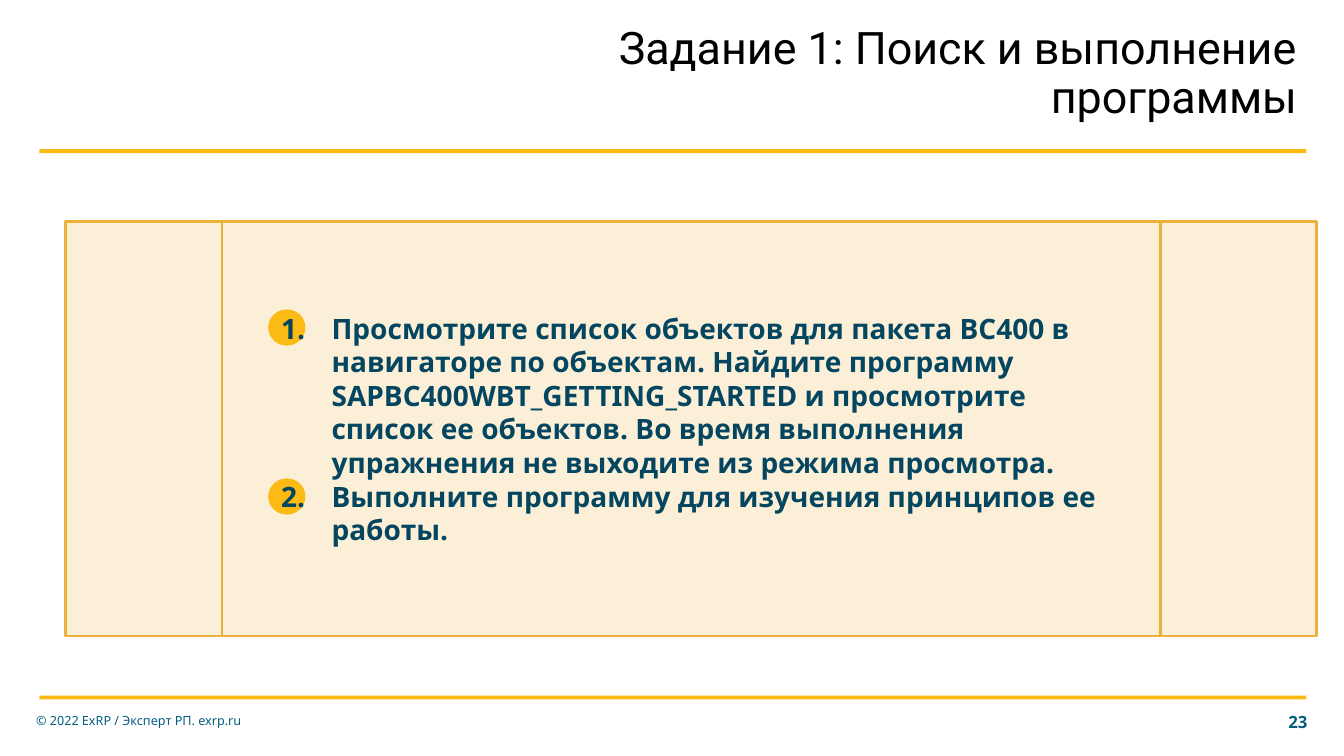
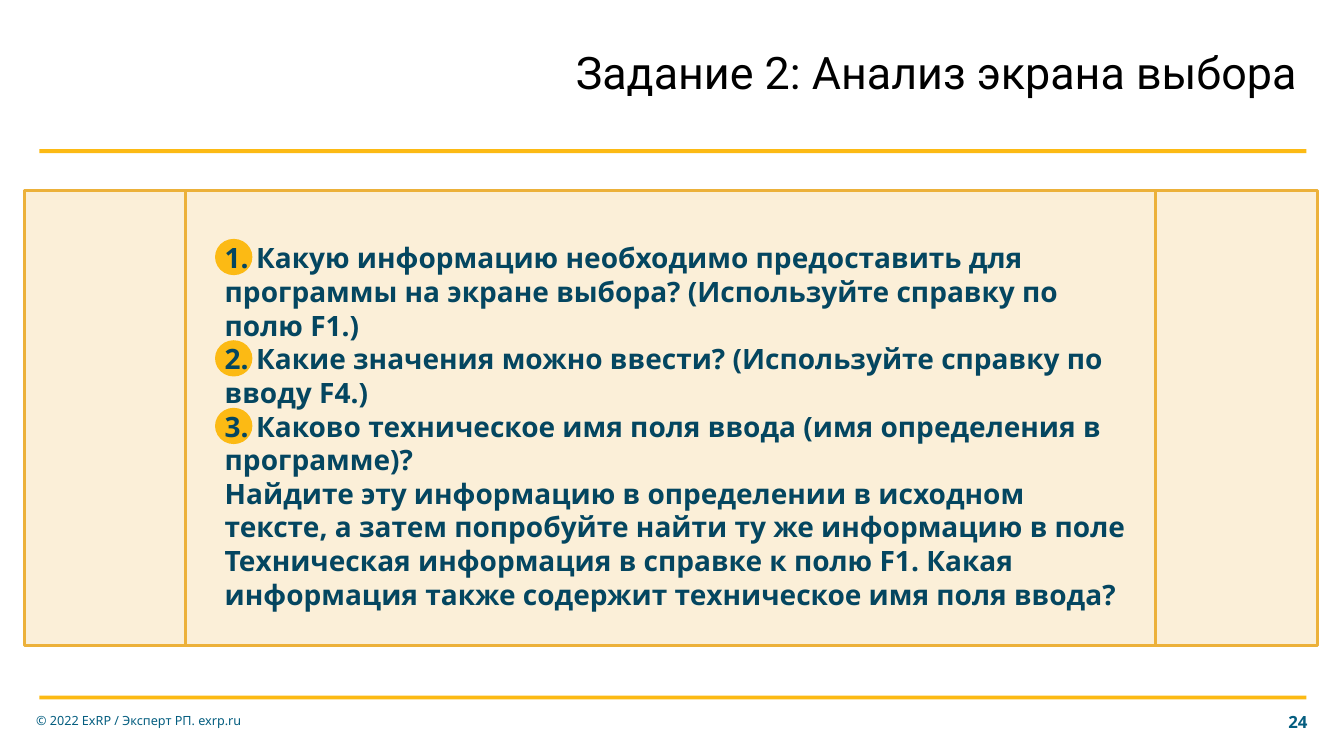
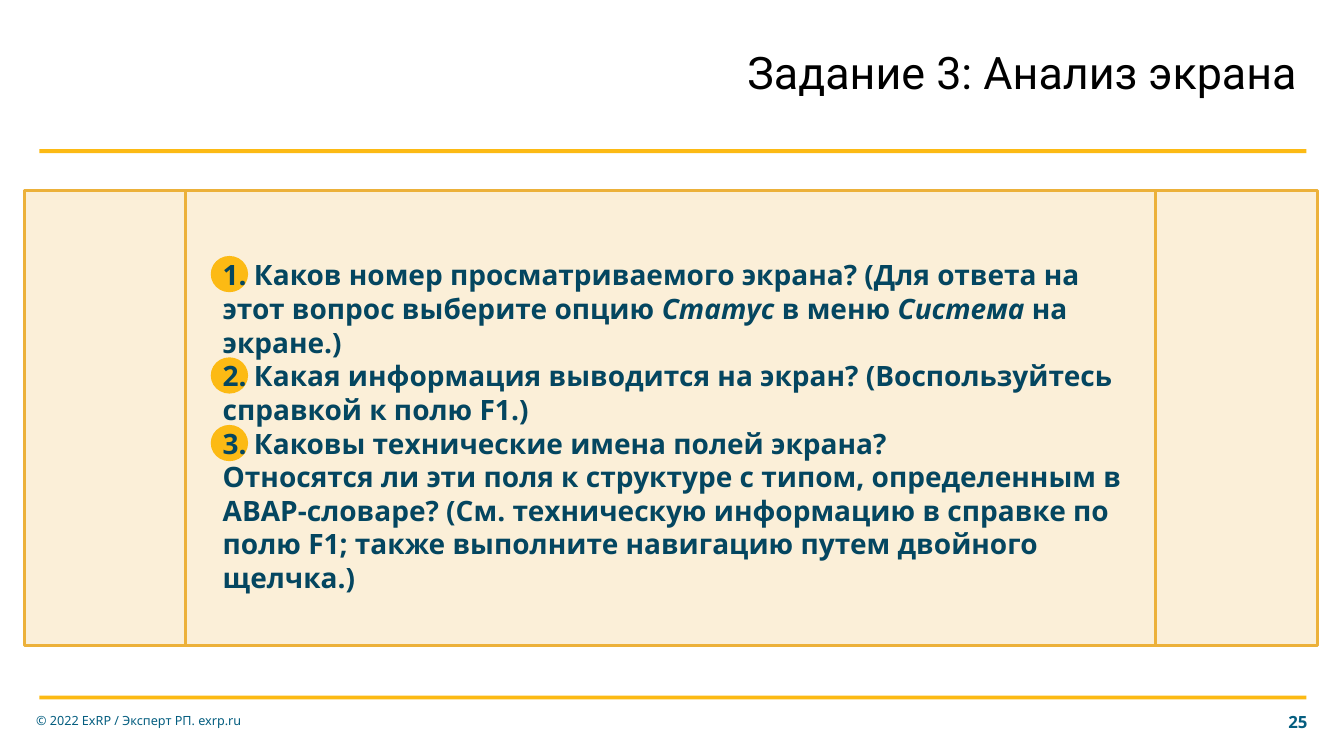
from lxml import etree
from pptx import Presentation
from pptx import util as u
from pptx.dml.color import RGBColor
from pptx.enum import shapes, text
from pptx.oxml import ns

COLOURS = {
    "gold": "FCBA14",
    "cream": "FBEFD8",
    "ochre": "ECB13A",
    "teal": "055E80",
    "navy": "044660",
    "black": "000000",
}
LEFT, RIGHT = text.PP_ALIGN.LEFT, text.PP_ALIGN.RIGHT

presentation = Presentation()
presentation.slide_width = u.Inches(13.33)
presentation.slide_height = u.Inches(7.5)
COLUMN = presentation.slide_width / 100
ROW = presentation.slide_height / 100

TITLE_RIGHT, TITLE_MIDDLE = 97.28, 10.2
TEXT_LINE, TEXT_INSET, MARKER_OFFSET = 4.47, 0.67, 0.53
FIRST_PAGE = 23

tasks = [
    {
        "title": "Задание 1: Поиск и выполнение программы",
        "title_box": (33.83, 13.73),
        "panel": (4.88, 29.33, 93.08, 54.8),
        "body": (20.18, 40.4, 63.15),
        "line_count": 7,
        "marker_left": 19.95,
        "marked_lines": [0, 5],
        "numbered": True,
        "paragraphs": [
            "Просмотрите список объектов для пакета BC400 в навигаторе по объектам. "
            "Найдите программу SAPBC400WBT_GETTING_STARTED и просмотрите список ее объектов. "
            "Во время выполнения упражнения не выходите из режима просмотра.",
            "Выполните программу для изучения принципов ее работы.",
        ],
    },
    {
        "title": "Задание 2: Анализ экрана выбора",
        "title_box": (28.5, 7.33),
        "panel": (1.8, 25.2, 96.23, 60.13),
        "body": (15.98, 31.07, 68.4),
        "line_count": 11,
        "marker_left": 16,
        "marked_lines": [0, 3, 5],
        "numbered": False,
        "paragraphs": [
            "1. Какую информацию необходимо предоставить для программы на экране выбора? "
            "(Используйте справку по полю F1.)",
            "2. Какие значения можно ввести? (Используйте справку по вводу F4.)",
            "3. Каково техническое имя поля ввода (имя определения в программе)?",
            "Найдите эту информацию в определении в исходном тексте, а затем попробуйте "
            "найти ту же информацию в поле Техническая информация в справке к полю F1. "
            "Какая информация также содержит техническое имя поля ввода?",
        ],
    },
    {
        "title": "Задание 3: Анализ экрана",
        "title_box": (28.5, 7.33),
        "panel": (1.8, 25.2, 96.23, 60.13),
        "body": (15.83, 33.33, 68.4),
        "line_count": 10,
        "marker_left": 15.68,
        "marked_lines": [0, 3, 5],
        "numbered": False,
        "paragraphs": [
            "1. Каков номер просматриваемого экрана? (Для ответа на этот вопрос выберите "
            "опцию *Статус* в меню *Система* на экране.)",
            "2. Какая информация выводится на экран? (Воспользуйтесь справкой к полю F1.)",
            "3. Каковы технические имена полей экрана?",
            "Относятся ли эти поля к структуре с типом, определенным в ABAP-словаре? "
            "(См. техническую информацию в справке по полю F1; также выполните навигацию "
            "путем двойного щелчка.)",
        ],
    },
]


def add_figure(slide, kind, box, fill, outline=None):
    left, top, width, height = box
    shape = slide.shapes.add_shape(
        kind, int(left * COLUMN), int(top * ROW), int(width * COLUMN), int(height * ROW)
    )
    shape.shadow.inherit = False
    shape.fill.solid()
    shape.fill.fore_color.rgb = RGBColor.from_string(COLOURS[fill])
    if outline:
        shape.line.color.rgb = RGBColor.from_string(COLOURS[outline])
        shape.line.width = u.Pt(2)
    else:
        shape.line.fill.background()


def write(shape, box, paragraphs, font, size, colour, bold=False, align=LEFT, numbered=False):
    left, top, width, height = box
    shape.left, shape.top = int(left * COLUMN), int(top * ROW)
    shape.width, shape.height = int(width * COLUMN), int(height * ROW)
    frame = shape.text_frame
    frame.word_wrap = True
    frame.auto_size = text.MSO_AUTO_SIZE.NONE
    frame.vertical_anchor = text.MSO_ANCHOR.MIDDLE
    for index, content in enumerate(paragraphs):
        paragraph = frame.add_paragraph() if index else frame.paragraphs[0]
        paragraph.alignment = align
        if numbered:
            properties = paragraph._p.get_or_add_pPr()
            properties.set("marL", str(u.Inches(0.5)))
            properties.set("indent", str(-u.Inches(0.5)))
            number = etree.SubElement(properties, ns.qn("a:buAutoNum"))
            number.set("type", "arabicPeriod")
        for position, part in enumerate(content.split("*")):
            run = paragraph.add_run()
            run.text = part
            run.font.name = font
            run.font.size = u.Pt(size)
            run.font.bold = bold
            run.font.italic = position % 2 == 1
            run.font.color.rgb = RGBColor.from_string(COLOURS[colour])
    return frame


for page, task in enumerate(tasks, FIRST_PAGE):
    slide = presentation.slides.add_slide(presentation.slide_layouts[5])

    for band_top in (92, 19.73):
        add_figure(slide, shapes.MSO_SHAPE.RECTANGLE, (2.93, band_top, 94.28, 0.53), "gold")

    page_number = slide.shapes.add_textbox(0, 0, 0, 0)
    write(page_number, (93.15, 92.8, 4.88, 5.33), [str(page)], "Noto Sans", 12, "teal", True, RIGHT)
    footer = slide.shapes.add_textbox(0, 0, 0, 0)
    write(footer, (1.95, 92.67, 21.38, 5.33), ["© 2022 ExRP / Эксперт РП. exrp.ru"], "Noto Sans", 9, "teal")

    title_left, title_height = task["title_box"]
    title_box = (title_left, TITLE_MIDDLE - title_height / 2, TITLE_RIGHT - title_left, title_height)
    title = write(slide.shapes.title, title_box, [task["title"]], "Roboto", 32, "black", align=RIGHT)
    title.margin_left = title.margin_top = 0
    title.margin_right, title.margin_bottom = u.Inches(0.1), u.Inches(0.05)
    title.paragraphs[0].line_spacing = 0.9

    add_figure(slide, shapes.MSO_SHAPE.FLOWCHART_PREDEFINED_PROCESS, task["panel"], "cream", "ochre")

    body_left, body_top, body_width = task["body"]
    for line in task["marked_lines"]:
        marker_top = body_top + MARKER_OFFSET + line * TEXT_LINE
        add_figure(slide, shapes.MSO_SHAPE.OVAL, (task["marker_left"], marker_top, 2.78, 4.8), "gold")

    body_box = (body_left, body_top, body_width, task["line_count"] * TEXT_LINE + 2 * TEXT_INSET)
    body = write(
        slide.shapes.add_textbox(0, 0, 0, 0), body_box, task["paragraphs"],
        "Noto Sans", 20, "navy", True, numbered=task["numbered"],
    )
    body.margin_right = 0

presentation.save("out.pptx")
